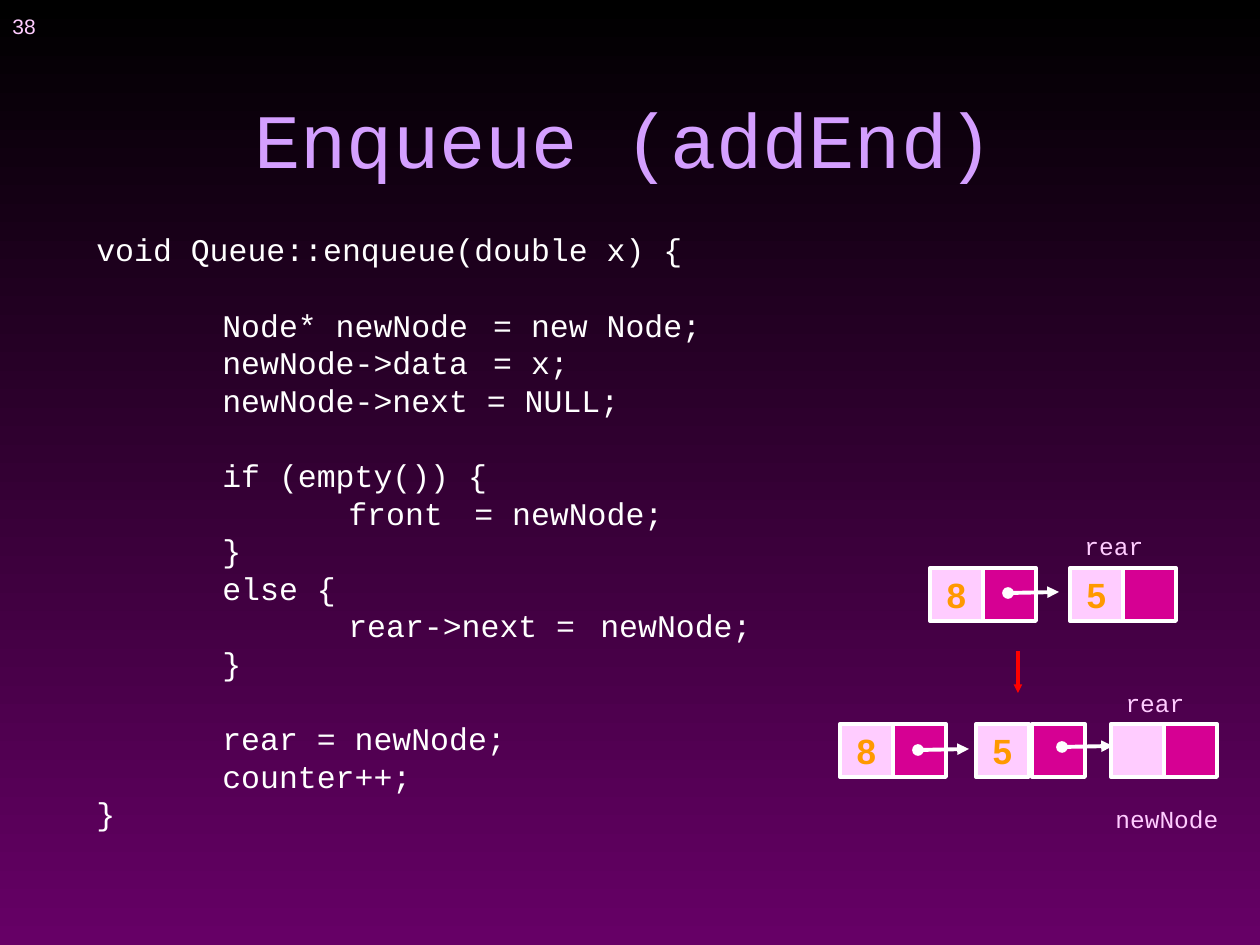
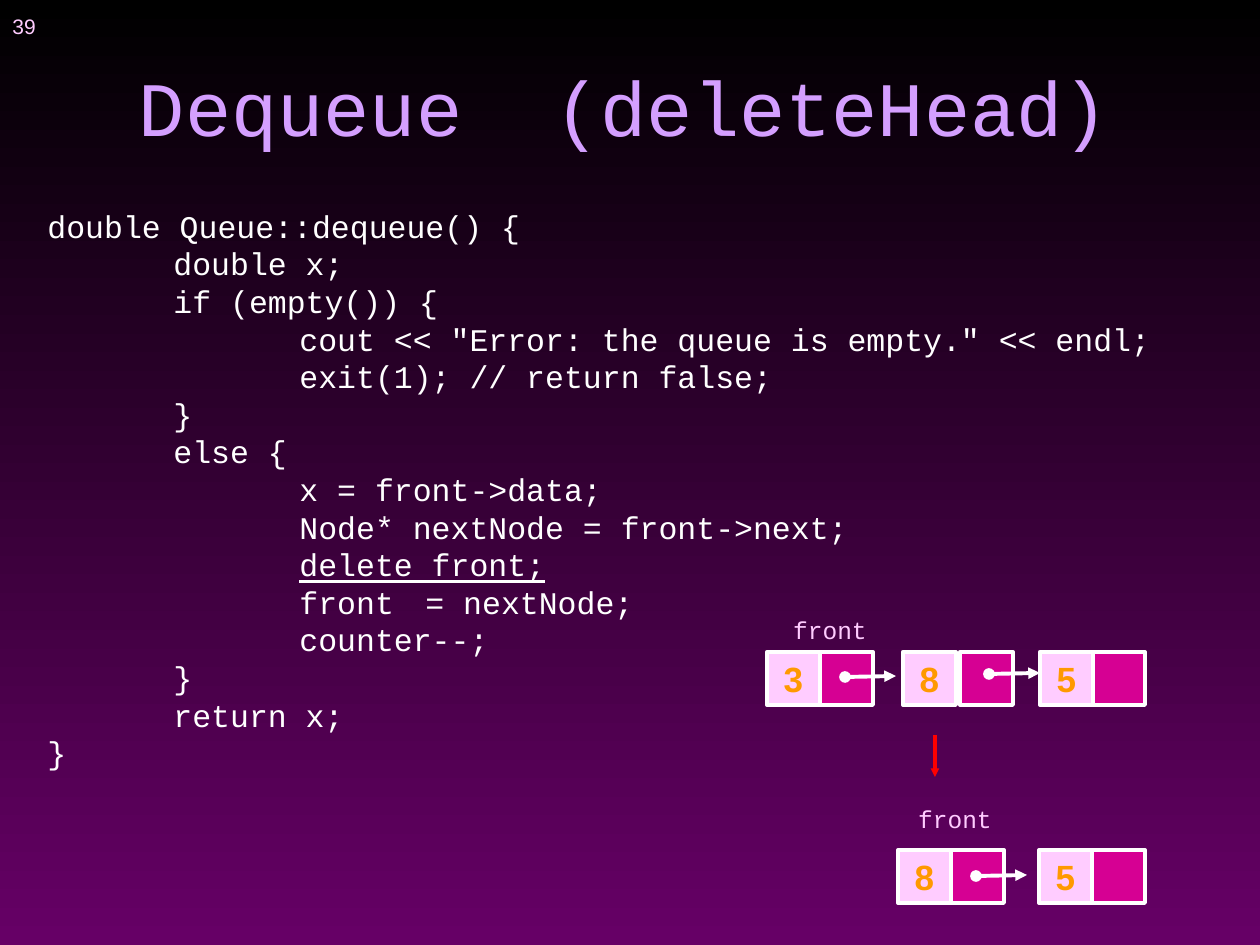
from lxml.etree import SubElement
from pptx import Presentation
from pptx.dml.color import RGBColor
from pptx.enum.shapes import MSO_CONNECTOR, MSO_SHAPE
from pptx.enum.text import MSO_ANCHOR, MSO_AUTO_SIZE, PP_ALIGN
from pptx.oxml.ns import qn
from pptx.util import Emu, Inches, Pt

BLACK = RGBColor(0x00, 0x00, 0x00)
PLUM = RGBColor(0x66, 0x00, 0x66)
LILAC = RGBColor(0xD4, 0x9F, 0xFF)
PINK = RGBColor(0xFF, 0xCC, 0xFF)
ROSE = RGBColor(0xD6, 0x00, 0x93)
AMBER = RGBColor(0xFF, 0x99, 0x00)
WHITE = RGBColor(0xFF, 0xFF, 0xFF)
RED = RGBColor(0xFF, 0x00, 0x00)
SANS, MONO = "Arial", "Courier New"
CELL = 53
LINE = Pt(21.5)

ENQUEUE = """void Queue::enqueue(double x) {

\tNode* newNode\t = new Node;
\tnewNode->data\t = x;
\tnewNode->next = NULL;

\tif (empty()) {
\t\tfront\t= newNode;
\t}
\telse {
\t\trear->next =\tnewNode;
\t}

\trear = newNode;
\tcounter++;
}"""

DEQUEUE = """double Queue::dequeue() {
\tdouble x;
\tif (empty()) {
\t\tcout << "Error: the queue is empty." << endl;
\t\texit(1); // return false;
\t}
\telse {
\t\tx = front->data;
\t\tNode* nextNode = front->next;
\t\tdelete front;
\t\tfront\t= nextNode;
\t\tcounter--;
\t}
\treturn x;
}"""


def px(num):
    """Turn px into EMU."""
    return Emu(round(num * 914400 / 126))


def box(*nums):
    """Turn a row of px lengths into EMU."""
    return [px(num) for num in nums]


def add_run(para, text, size, font, color, bold, under=False):
    """Add one formatted run to a paragraph."""
    run = para.add_run()
    run.text = text
    face = run.font
    face.size, face.name, face.bold = Pt(size), font, bold
    face.color.rgb = color
    if under:
        face.underline = True


def add_tabs(para):
    """Set a left tab at every inch."""
    tabs = SubElement(para._p.get_or_add_pPr(), qn("a:tabLst"))
    for inch in range(1, 8):
        SubElement(tabs, qn("a:tab"), pos=str(Inches(inch)), algn="l")


def write(shape, text, size=14, font=MONO, color=PINK, bold=False, align=PP_ALIGN.LEFT,
          anchor=MSO_ANCHOR.TOP, wrap=True, code=False, under=None):
    """Fill a shape with text; a blank line of code becomes space above the next."""
    frame = shape.text_frame
    frame.auto_size = MSO_AUTO_SIZE.NONE
    frame.word_wrap, frame.vertical_anchor = wrap, anchor
    para, gap = frame.paragraphs[0], False
    for count, line in enumerate(text.split("\n")):
        if not line:
            gap = True
            continue
        if count:
            para = frame.add_paragraph()
        if code:
            add_tabs(para)
            para.line_spacing = LINE
        if gap:
            para.space_before = LINE
        para.alignment, gap = align, False
        if under and under in line:
            add_run(para, line.replace(under, ""), size, font, color, bold)
            add_run(para, under, size, font, color, bold, True)
        else:
            add_run(para, line, size, font, color, bold)


def add_text(slide, place, text, **style):
    """Add a text box."""
    write(slide.shapes.add_textbox(*box(*place)), text, **style)


def add_label(slide, left, top, text):
    """Add a centred pointer name."""
    add_text(slide, (left, top, 146, 43), text, align=PP_ALIGN.CENTER)


def add_cell(slide, left, top, fill, text=""):
    """Add one square of a list node."""
    cell = slide.shapes.add_shape(MSO_SHAPE.RECTANGLE, *box(left, top, CELL, CELL))
    cell.shadow.inherit = False
    cell.fill.solid()
    cell.fill.fore_color.rgb = fill
    cell.line.color.rgb = WHITE
    cell.line.width = Pt(2.25)
    if text:
        write(cell, text, size=20, font=SANS, color=AMBER, bold=True,
              align=PP_ALIGN.CENTER, anchor=MSO_ANCHOR.MIDDLE, wrap=False)


def add_arrow(slide, ends, color, width, head="med", dot=False):
    """Add a straight arrow, with a dot at its start on request."""
    wire = slide.shapes.add_connector(MSO_CONNECTOR.STRAIGHT, *box(*ends))
    wire.line.color.rgb = color
    wire.line.width = Pt(width)
    line = wire.line._ln
    if dot:
        SubElement(line, qn("a:headEnd"), type="oval")
    SubElement(line, qn("a:tailEnd"), type="triangle", w=head, len=head)
    SubElement(wire._element.spPr, qn("a:effectLst"))


def add_chain(slide, top, nodes):
    """Add a row of nodes, each (data left, link left, value, dot or None)."""
    for left, link, value, dot in nodes:
        add_cell(slide, link, top, ROSE)
        add_cell(slide, left, top, PINK, value)
        if dot:
            x, y = dot
            add_arrow(slide, (x, y, x + 51, y - 1), WHITE, 2.25, dot=True)


def add_step(slide, x, top):
    """Add the red arrow from one state to the next."""
    add_arrow(slide, (x, top, x, top + 42), RED, 2.5, head="sm")


def add_page(deck, number, title, top, place, code, under=None):
    """Add a slide with its number, title and code."""
    slide = deck.slides.add_slide(deck.slide_layouts[5])
    head = slide.shapes.title
    head.left, head.top, head.width, head.height = box(84, top, 1081, 158)
    write(head, title, size=44, color=LILAC, align=PP_ALIGN.CENTER,
          anchor=MSO_ANCHOR.BOTTOM)
    add_text(slide, (0, 0, 346, 53), number, size=12, font=SANS,
             anchor=MSO_ANCHOR.MIDDLE)
    add_text(slide, place, code, size=18, color=WHITE, anchor=MSO_ANCHOR.MIDDLE,
             wrap=False, code=True, under=under)
    return slide


def set_back(deck):
    """Give every slide the black to plum background."""
    fill = deck.slide_master.background.fill
    fill.gradient()
    fill.gradient_angle = 270
    for stop, color in zip(fill.gradient_stops, (BLACK, PLUM)):
        stop.color.rgb = color


def main():
    """Build both slides and save them."""
    deck = Presentation()
    deck.slide_width, deck.slide_height = box(1260, 945)
    set_back(deck)

    slide = add_page(deck, "38", "Enqueue (addEnd)", 32, (84, 223, 680, 617), ENQUEUE)
    add_chain(slide, 568, [(930, 983, "8", (1008, 593)), (1070, 1123, "5", None)])
    add_label(slide, 1041, 525, "rear")
    add_step(slide, 1018, 651)
    add_chain(slide, 724, [(840, 893, "8", (918, 750)), (976, 1032, "5", (1062, 747)),
                           (1111, 1164, "", None)])
    add_label(slide, 1082, 682, "rear")
    add_label(slide, 1094, 798, "newNode")

    slide = add_page(deck, "39", "Dequeue  (deleteHead)", 0, (35, 199, 1128, 580),
                     DEQUEUE, under="delete front;")
    add_chain(slide, 652, [(767, 820, "3", (845, 677)), (903, 960, "8", (989, 674)),
                           (1040, 1092, "5", None)])
    add_label(slide, 757, 609, "front")
    add_step(slide, 935, 735)
    add_chain(slide, 850, [(898, 951, "8", (976, 876)), (1039, 1092, "5", None)])
    add_label(slide, 882, 798, "front")

    deck.save("out.pptx")


if __name__ == "__main__":
    main()
